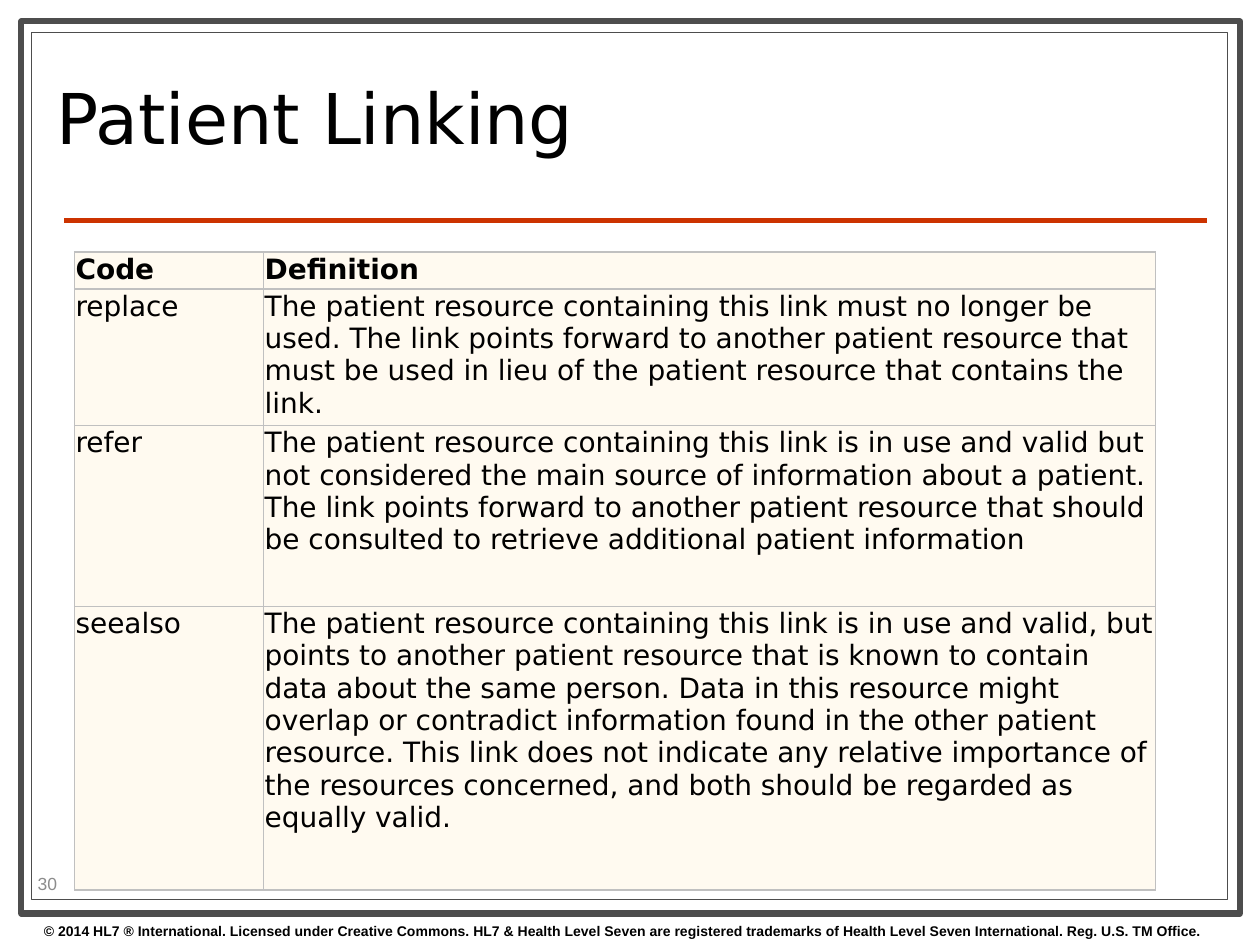
import pptx
import pptx.dml.color
import pptx.enum.shapes
import pptx.enum.text
import pptx.oxml.ns
import pptx.util
from lxml import etree

SLIDE_WIDTH = pptx.util.Inches(10)
SLIDE_HEIGHT = pptx.util.Inches(7.5)
BODY_FONT = "DejaVu Sans"
SMALL_FONT = "Arial"
MIDDLE = pptx.enum.text.MSO_ANCHOR.MIDDLE
TOP = pptx.enum.text.MSO_ANCHOR.TOP

LINK_TYPES = [
    ("Code", "Definition"),
    ("replace", "The patient resource containing this link must no longer be used. "
     "The link points forward to another patient resource that must be used in lieu "
     "of the patient resource that contains the link."),
    ("refer", "The patient resource containing this link is in use and valid but not "
     "considered the main source of information about a patient. The link points "
     "forward to another patient resource that should be consulted to retrieve "
     "additional patient information"),
    ("seealso", "The patient resource containing this link is in use and valid, but "
     "points to another patient resource that is known to contain data about the same "
     "person. Data in this resource might overlap or contradict information found in "
     "the other patient resource. This link does not indicate any relative importance "
     "of the resources concerned, and both should be regarded as equally valid."),
]
COPYRIGHT = (
    "© 2014 HL7 ® International. Licensed under Creative Commons. HL7 & Health Level "
    "Seven are registered trademarks of Health Level Seven International. "
    "Reg. U.S. TM Office."
)


def rgb(value):
    return pptx.dml.color.RGBColor.from_string(value)


def share(length, percent):
    return round(length * percent / 100)


def area(left, top, width, height):
    return (share(SLIDE_WIDTH, left), share(SLIDE_HEIGHT, top),
            share(SLIDE_WIDTH, width), share(SLIDE_HEIGHT, height))


def write(frame, text, size=16, font=BODY_FONT, color="000000", bold=False,
          spacing=None, anchor=None):
    frame.word_wrap = True
    if anchor is not None:
        frame.vertical_anchor = anchor
    paragraph = frame.paragraphs[0]
    if spacing:
        paragraph.line_spacing = spacing
    run = paragraph.add_run()
    run.text = text
    run.font.size = pptx.util.Pt(size)
    run.font.name = font
    run.font.bold = bold
    run.font.color.rgb = rgb(color)


def add_caption(slide, box, text, **style):
    write(slide.shapes.add_textbox(*box).text_frame, text, **style)


def add_border(slide, box, weight):
    border = slide.shapes.add_shape(pptx.enum.shapes.MSO_SHAPE.RECTANGLE, *box)
    border.shadow.inherit = False
    border.fill.solid()
    border.fill.fore_color.rgb = rgb("FFFFFF")
    border.line.color.rgb = rgb("4D4D4D")
    border.line.width = pptx.util.Pt(weight)


def add_title_rule(slide, box):
    left, top, width, height = box
    rule = slide.shapes.add_connector(
        pptx.enum.shapes.MSO_CONNECTOR.STRAIGHT, left, top, left + width, top + height)
    rule.line.color.rgb = rgb("CC3300")
    rule.line.width = pptx.util.Pt(3)
    etree.SubElement(rule._element.spPr, pptx.oxml.ns.qn("a:effectLst"))


def outline_cell(cell, color, weight):
    properties = cell._tc.get_or_add_tcPr()
    for position, side in enumerate(("lnL", "lnR", "lnT", "lnB")):
        edge = etree.Element(pptx.oxml.ns.qn(f"a:{side}"), w=str(pptx.util.Pt(weight)))
        fill = etree.SubElement(edge, pptx.oxml.ns.qn("a:solidFill"))
        etree.SubElement(fill, pptx.oxml.ns.qn("a:srgbClr"), val=color)
        properties.insert(position, edge)


def add_link_table(slide, box, column_shares, row_shares):
    width, height = box[2:]
    table = slide.shapes.add_table(len(row_shares), len(column_shares), *box).table
    table.horz_banding = False
    for column, percent in zip(table.columns, column_shares):
        column.width = share(width, percent)
    for row, percent in zip(table.rows, row_shares):
        row.height = share(height, percent)
    inset = pptx.util.Inches(0.01)
    for row_number, entries in enumerate(LINK_TYPES):
        for column_number, entry in enumerate(entries):
            cell = table.cell(row_number, column_number)
            cell.margin_left = cell.margin_right = inset
            cell.margin_top = cell.margin_bottom = inset
            cell.vertical_anchor = TOP
            cell.fill.solid()
            cell.fill.fore_color.rgb = rgb("FFFAF0")
            outline_cell(cell, "C0C0C0", 0.75)
            write(cell.text_frame, entry, bold=row_number == 0)


def main():
    deck = pptx.Presentation()
    deck.slide_width = SLIDE_WIDTH
    deck.slide_height = SLIDE_HEIGHT
    slide = deck.slides.add_slide(deck.slide_layouts[6])

    add_border(slide, area(1.7, 2.27, 96.7, 94.4), 3.5)
    add_border(slide, area(2.5, 3.47, 94.9, 91.73), 0.75)
    add_title_rule(slide, area(5.1, 23.33, 90.7, 0))
    add_caption(slide, area(2.5, 96.93, 100, 3.07), COPYRIGHT,
                size=8, font=SMALL_FONT, bold=True)
    add_caption(slide, area(3.5, 4.8, 71.7, 16.8), "Patient Linking",
                size=40, spacing=0.8, anchor=MIDDLE)
    add_link_table(slide, area(5.9, 26.67, 85.8, 67.47),
                   (17.5, 82.5), (5.8, 21.4, 28.3, 44.5))
    add_caption(slide, area(2, 91.87, 7.9, 3.2), "30",
                size=10, font=SMALL_FONT, color="8C8C8C", anchor=MIDDLE)

    deck.save("out.pptx")


if __name__ == "__main__":
    main()
